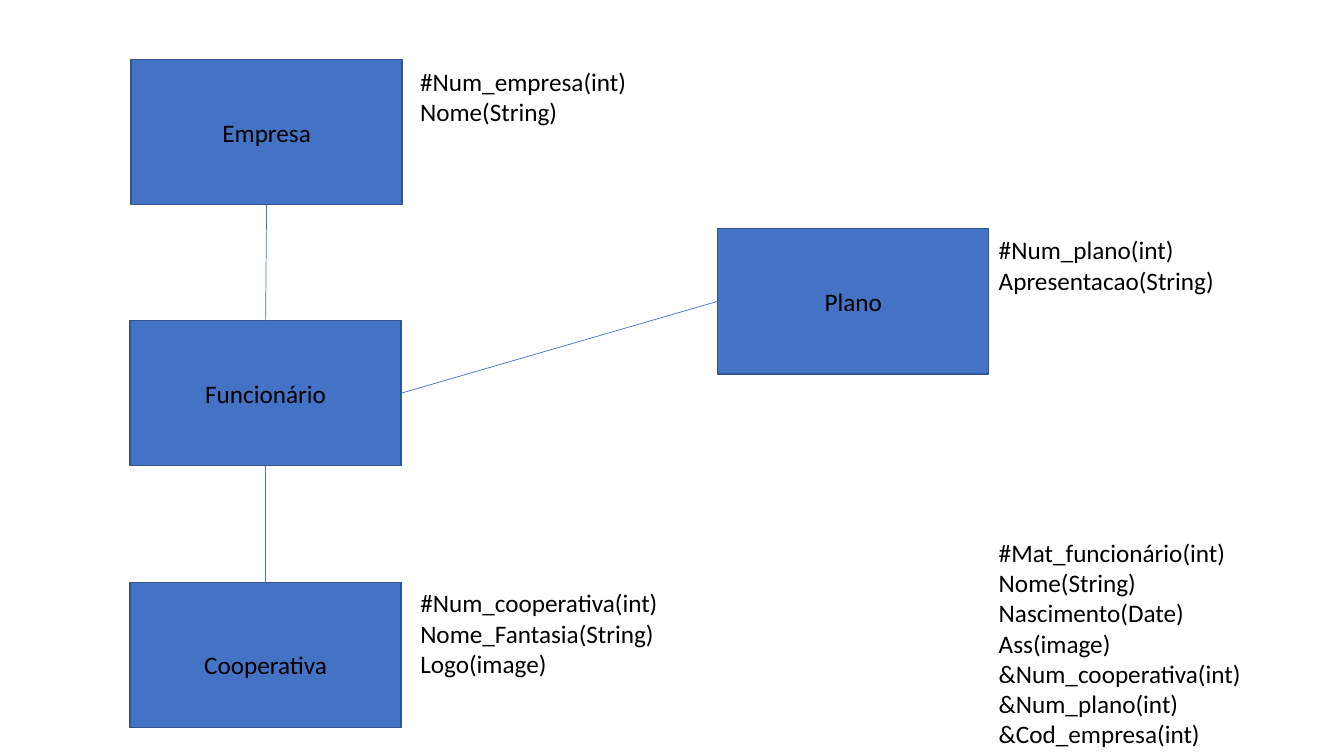
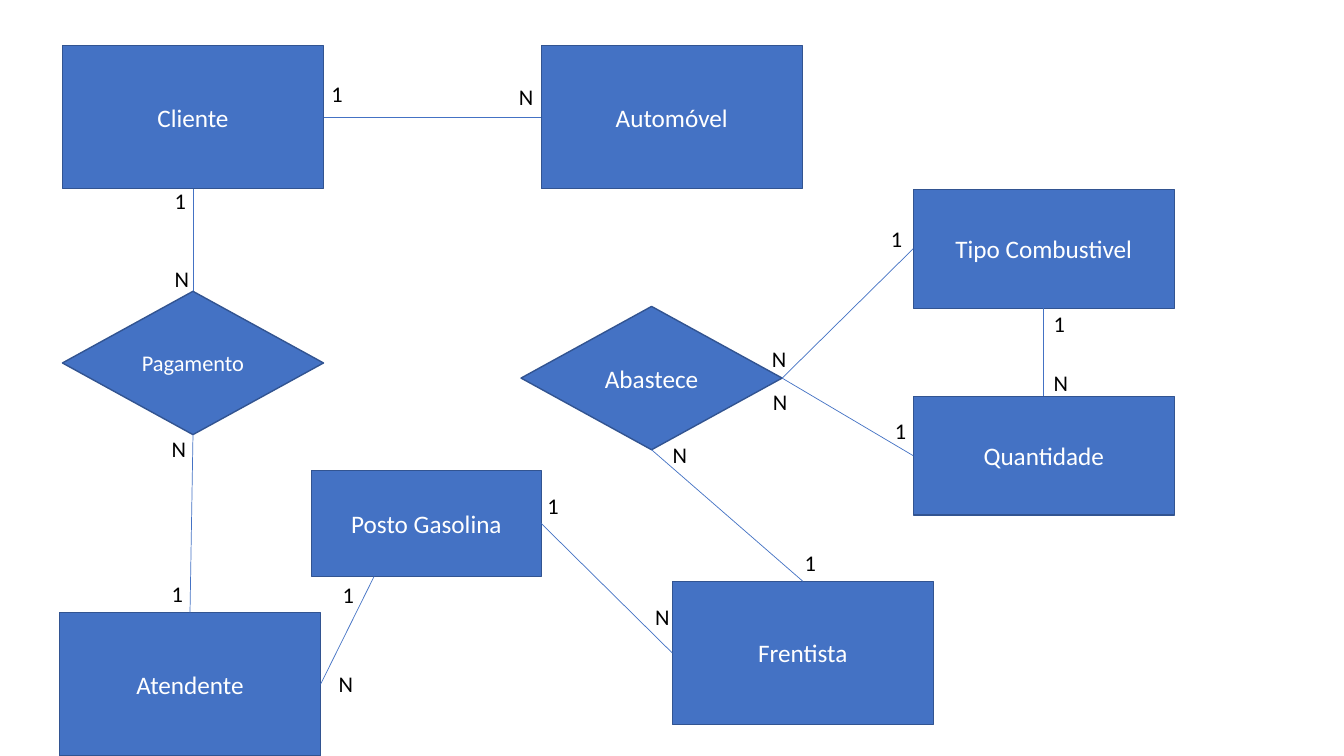
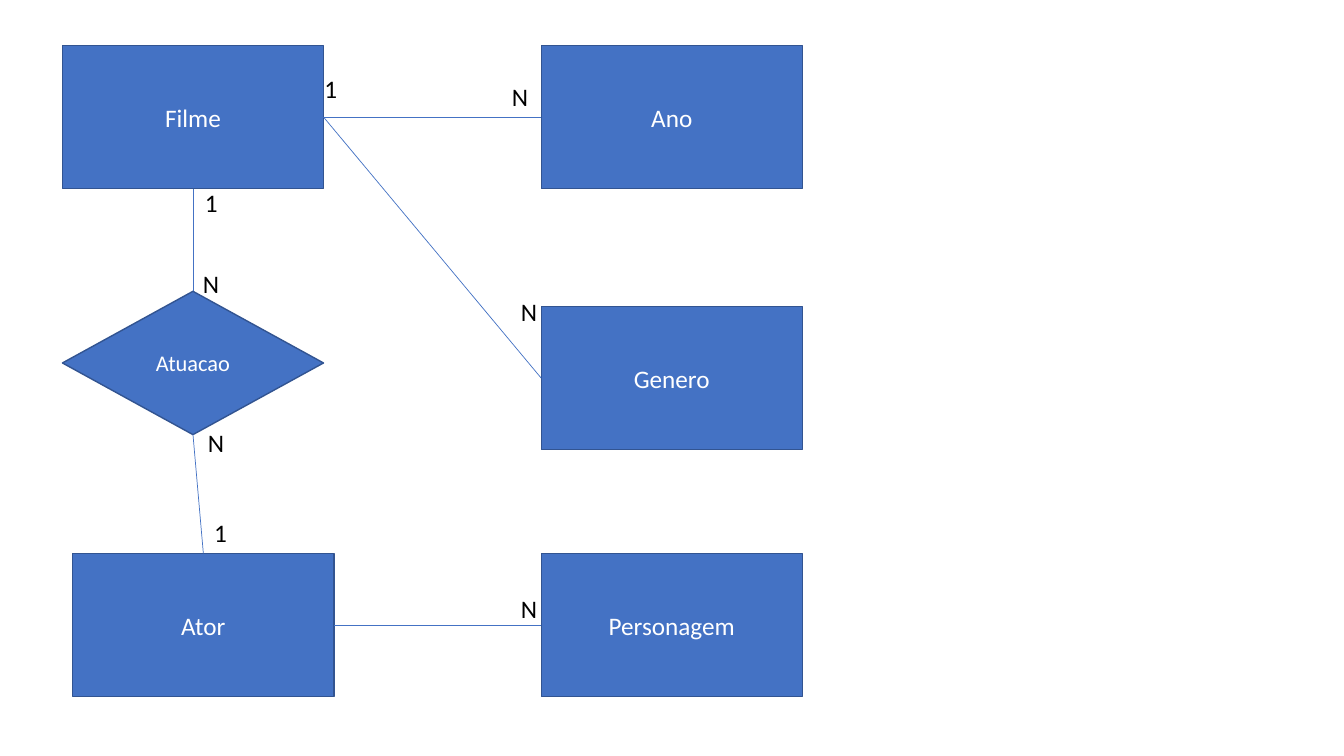
from dataclasses import dataclass

from lxml import etree
from pptx import Presentation
from pptx.dml.color import RGBColor
from pptx.enum import shapes, text
from pptx.oxml.ns import qn
from pptx.util import Pt


@dataclass(frozen=True)
class Theme:
    font: str = "Calibri"
    fill: RGBColor = RGBColor(0x44, 0x72, 0xC4)
    edge: RGBColor = RGBColor(0x32, 0x54, 0x91)
    dark: RGBColor = RGBColor(0, 0, 0)
    light: RGBColor = RGBColor(255, 255, 255)
    body: int = 18
    small: int = 16
    edge_width: float = 1
    link_width: float = 0.5


@dataclass(frozen=True)
class Box:
    x: float
    y: float
    w: float
    h: float


@dataclass(frozen=True)
class End:
    """One end of a link: entity, side, cardinality and its offset from the joint."""
    entity: str
    side: int
    mark: str = ""
    dx: float = 0
    dy: float = 0
    shift: float = 0  # distance of the joint from the middle of the side


THEME = Theme()
TOP, LEFT, BOTTOM, RIGHT = range(4)
SIDE_MIDDLES = ((0.5, 0), (0, 0.5), (0.5, 1), (1, 0.5))
ENTITY = shapes.MSO_SHAPE.RECTANGLE
RELATION = shapes.MSO_SHAPE.FLOWCHART_DECISION


def write(paragraph, words, size, color):
    run = paragraph.add_run()
    run.text = words
    run.font.name = THEME.font
    run.font.size = Pt(size)
    run.font.color.rgb = color


def add_lines(slide, box, lines, size):
    label = slide.shapes.add_textbox(Pt(box.x), Pt(box.y), Pt(box.w), Pt(box.h))
    frame = label.text_frame
    frame.word_wrap = True
    frame.auto_size = text.MSO_AUTO_SIZE.SHAPE_TO_FIT_TEXT
    for i, line in enumerate(lines):
        paragraph = frame.add_paragraph() if i else frame.paragraphs[0]
        write(paragraph, line, size, THEME.dark)


def add_node(slide, box, title, kind=ENTITY, color=THEME.light, size=THEME.body, drop=0):
    """A titled entity or relation; drop lowers the title from the middle."""
    node = slide.shapes.add_shape(kind, Pt(box.x), Pt(box.y), Pt(box.w), Pt(box.h))
    node.shadow.inherit = False
    node.fill.solid()
    node.fill.fore_color.rgb = THEME.fill
    node.line.color.rgb = THEME.edge
    node.line.width = Pt(THEME.edge_width)
    frame = node.text_frame
    frame.word_wrap = True
    frame.vertical_anchor = text.MSO_ANCHOR.MIDDLE
    frame.margin_top = Pt(3.6 + 2 * drop)
    paragraph = frame.paragraphs[0]
    paragraph.alignment = text.PP_ALIGN.CENTER
    write(paragraph, title, size, color)
    return node


def joint(box, end):
    fx, fy = SIDE_MIDDLES[end.side]
    return box.x + fx * box.w + end.shift, box.y + fy * box.h


def add_link(slide, boxes, nodes, start, finish, mark_size):
    ends = (start, finish)
    points = [joint(boxes[end.entity], end) for end in ends]
    link = slide.shapes.add_connector(
        shapes.MSO_CONNECTOR.STRAIGHT, *(Pt(v) for point in points for v in point))
    link.line.color.rgb = THEME.fill
    link.line.width = Pt(THEME.link_width)
    etree.SubElement(link._element.spPr, qn("a:effectLst"))
    for end, connect in zip(ends, (link.begin_connect, link.end_connect)):
        if not end.shift:
            connect(nodes[end.entity], end.side)
    # Cardinalities beside the joints
    for end, (x, y) in zip(ends, points):
        if end.mark:
            mark_box = Box(x + end.dx, y + end.dy, mark_size + 10, mark_size + 10.8)
            add_lines(slide, mark_box, [end.mark], mark_size)


def add_diagram(prs, boxes, links, mark_size=THEME.body, styles=None):
    """A slide of nodes joined by links; styles holds the exceptions by title."""
    slide = prs.slides.add_slide(prs.slide_layouts[6])
    styles = styles or {}
    nodes = {title: add_node(slide, box, title, **styles.get(title, {}))
             for title, box in boxes.items()}
    for start, finish in links:
        add_link(slide, boxes, nodes, start, finish, mark_size)
    return slide


def company_slide(prs):
    w, h = 193.7, 103.7
    boxes = {
        "Empresa": Box(93.6, 42.5, w, h),
        "Funcionário": Box(92.9, 229, w, h),
        "Plano": Box(512.6, 163.4, w, h),
        "Cooperativa": Box(92.9, 416.2, w, h),
    }
    links = [
        (End("Empresa", BOTTOM), End("Funcionário", TOP)),
        (End("Funcionário", BOTTOM), End("Cooperativa", TOP)),
        (End("Plano", LEFT), End("Funcionário", RIGHT)),
    ]
    styles = {title: {"color": THEME.dark} for title in boxes}
    styles["Cooperativa"]["drop"] = 6.5
    slide = add_diagram(prs, boxes, links, styles=styles)

    # Attributes: offset from the entity, width, lines
    attributes = {
        "Empresa": (199.4, 1.4, 168.5, ["#Num_empresa(int)", "Nome(String)"]),
        "Funcionário": (613.4, 151.2, 209.5, [
            "#Mat_funcionário(int)", "Nome(String)", "Nascimento(Date)", "Ass(image)",
            "&Num_cooperativa(int)", "&Num_plano(int)", "&Cod_empresa(int)"]),
        "Plano": (193.7, 0.7, 181.4, ["#Num_plano(int)", "Apresentacao(String)"]),
        "Cooperativa": (200.2, 0, 209.5, [
            "#Num_cooperativa(int)", "Nome_Fantasia(String)", "Logo(image)"]),
    }
    for title, (dx, dy, width, lines) in attributes.items():
        owner = boxes[title]
        area = Box(owner.x + dx, owner.y + dy, width, 7.2 + 21.8 * len(lines))
        add_lines(slide, area, lines, THEME.body)


def station_slide(prs):
    w, h, low = 186.5, 102.4, 85
    boxes = {
        "Cliente": Box(44.6, 32.4, w, h),
        "Automóvel": Box(386.6, 32.4, w, h),
        "Atendente": Box(42.5, 437.6, w, h),
        "Pagamento": Box(44.6, 208.1, w, h),
        "Abastece": Box(372.2, 218.9, w, h),
        "Posto Gasolina": Box(222.5, 336.2, 164.2, 75.6),
        "Frentista": Box(480.2, 415.2, w, h),
        "Tipo Combustivel": Box(652.3, 135.2, w, low),
        "Quantidade": Box(652.3, 283, w, low),
    }
    links = [
        (End("Cliente", RIGHT, "1", -1.4, -30.2), End("Automóvel", LEFT, "N", -23, -28.1)),
        (End("Cliente", BOTTOM, "1", -20.2, -5), End("Pagamento", TOP, "N", -20.2, -22.3)),
        (End("Abastece", BOTTOM, "N", 7.9, -9.4), End("Frentista", TOP, "1", -5.8, -26.6)),
        (End("Atendente", TOP, "1", -20.2, -26.6), End("Pagamento", BOTTOM, "N", -22.3, -3.6)),
        (End("Atendente", RIGHT, "N", 5.8, -13.7),
         End("Posto Gasolina", BOTTOM, "1", -29.5, 0, shift=-37.4)),
        (End("Posto Gasolina", RIGHT, "1", -2.9, -25.9),
         End("Frentista", LEFT, "N", -19.4, -38.9)),
        (End("Abastece", RIGHT, "N", -14.4, -27.4),
         End("Tipo Combustivel", LEFT, "1", -23, -20.2)),
        (End("Abastece", RIGHT, "N", -13.7, 3.6), End("Quantidade", LEFT, "1", -20.2, -31)),
        (End("Quantidade", TOP, "N", 0, -23), End("Tipo Combustivel", BOTTOM, "1", 0, -2.2)),
    ]
    styles = {"Pagamento": {"kind": RELATION, "size": THEME.small},
              "Abastece": {"kind": RELATION}}
    add_diagram(prs, boxes, links, THEME.small, styles)


def film_slide(prs):
    w, h = 186.5, 102.4
    boxes = {
        "Filme": Box(44.6, 32.4, w, h),
        "Ano": Box(386.6, 32.4, w, h),
        "Atuacao": Box(44.6, 208.1, w, h),
        "Ator": Box(52, 395.3, w, h),
        "Personagem": Box(386.6, 395.3, w, h),
        "Genero": Box(386.6, 218.9, w, h),
    }
    links = [
        (End("Filme", RIGHT, "1", -6.5, -34.6), End("Ano", LEFT, "N", -28.1, -28.8)),
        (End("Atuacao", BOTTOM, "N", 3.6, -8.6), End("Ator", TOP, "1", 0.7, -29.5)),
        (End("Filme", BOTTOM, "1", 1.4, -4.3), End("Atuacao", TOP, "N", 0, -20.2)),
        (End("Ator", RIGHT), End("Personagem", LEFT, "N", -21.6, -25.9)),
        (End("Filme", RIGHT), End("Genero", LEFT, "N", -21.6, -61.9)),
    ]
    styles = {"Atuacao": {"kind": RELATION, "size": THEME.small}}
    add_diagram(prs, boxes, links, styles=styles)


def main():
    prs = Presentation()
    prs.slide_width, prs.slide_height = Pt(960), Pt(540)
    company_slide(prs)
    station_slide(prs)
    film_slide(prs)
    prs.save("out.pptx")


if __name__ == "__main__":
    main()
